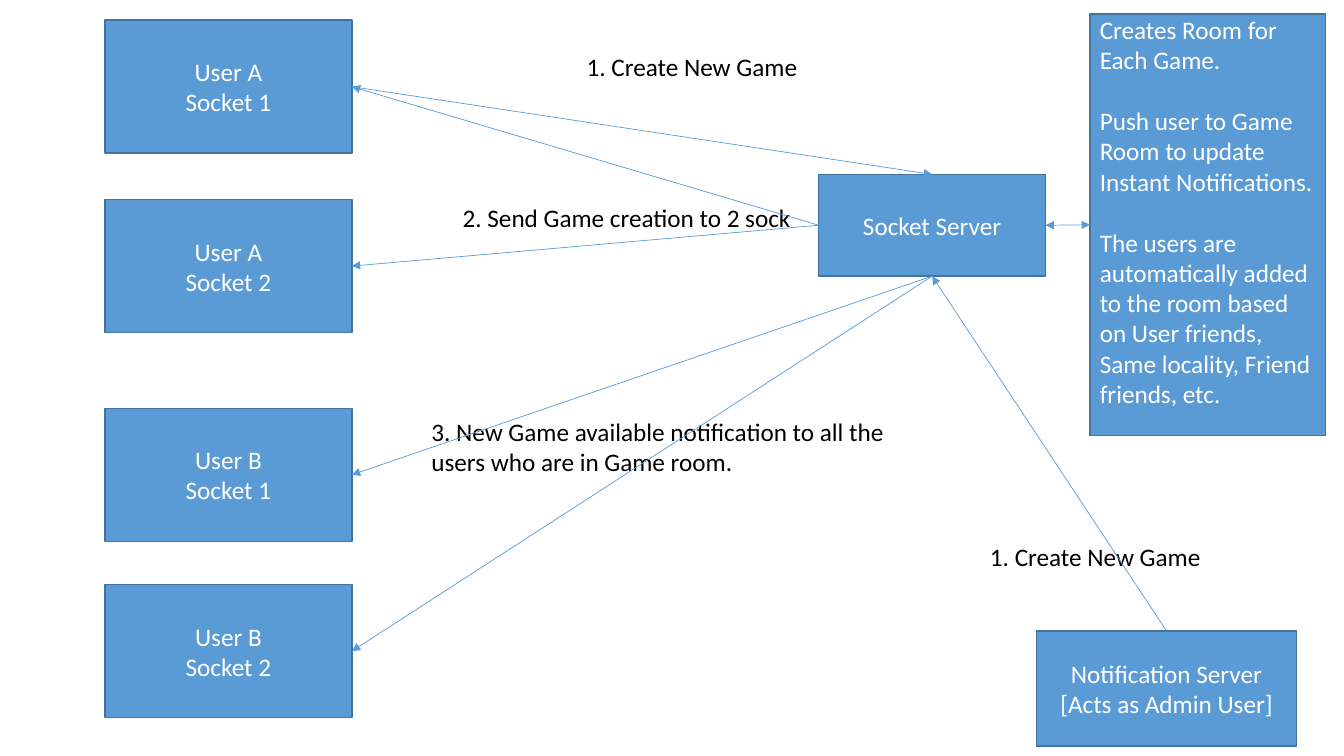
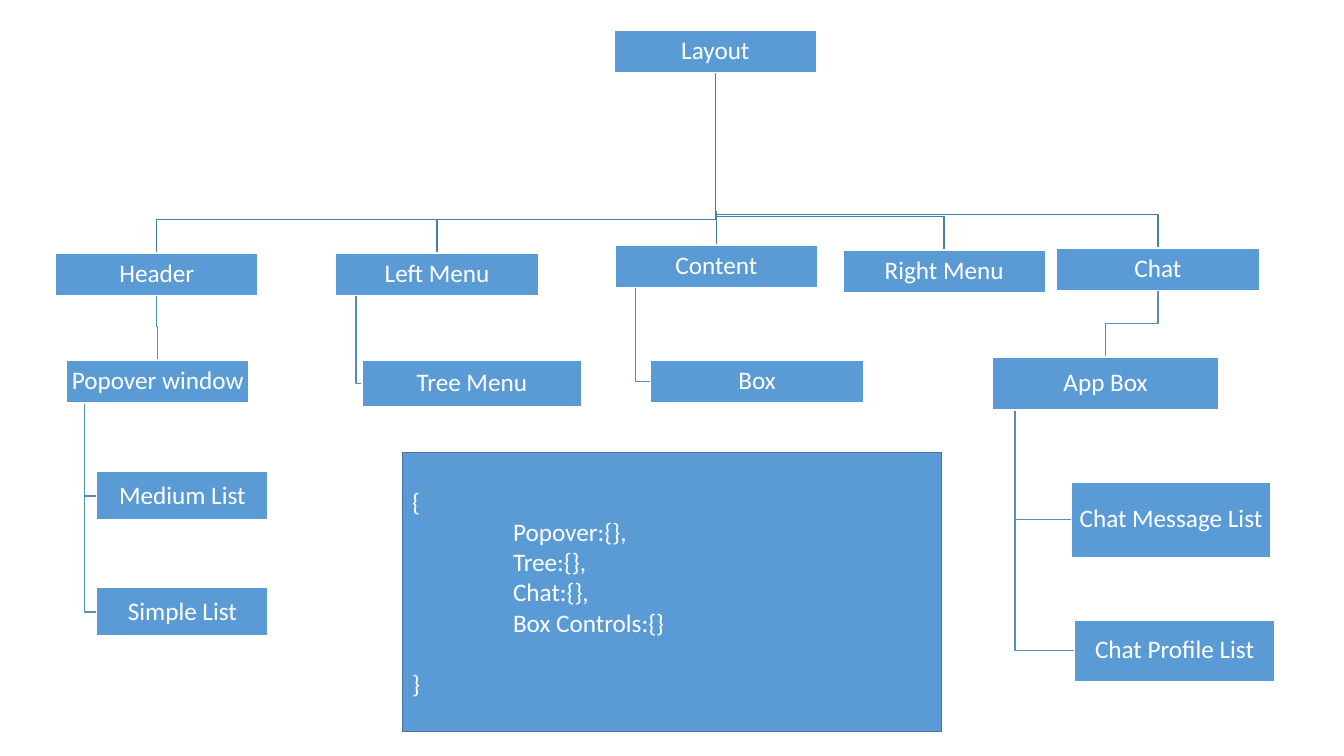
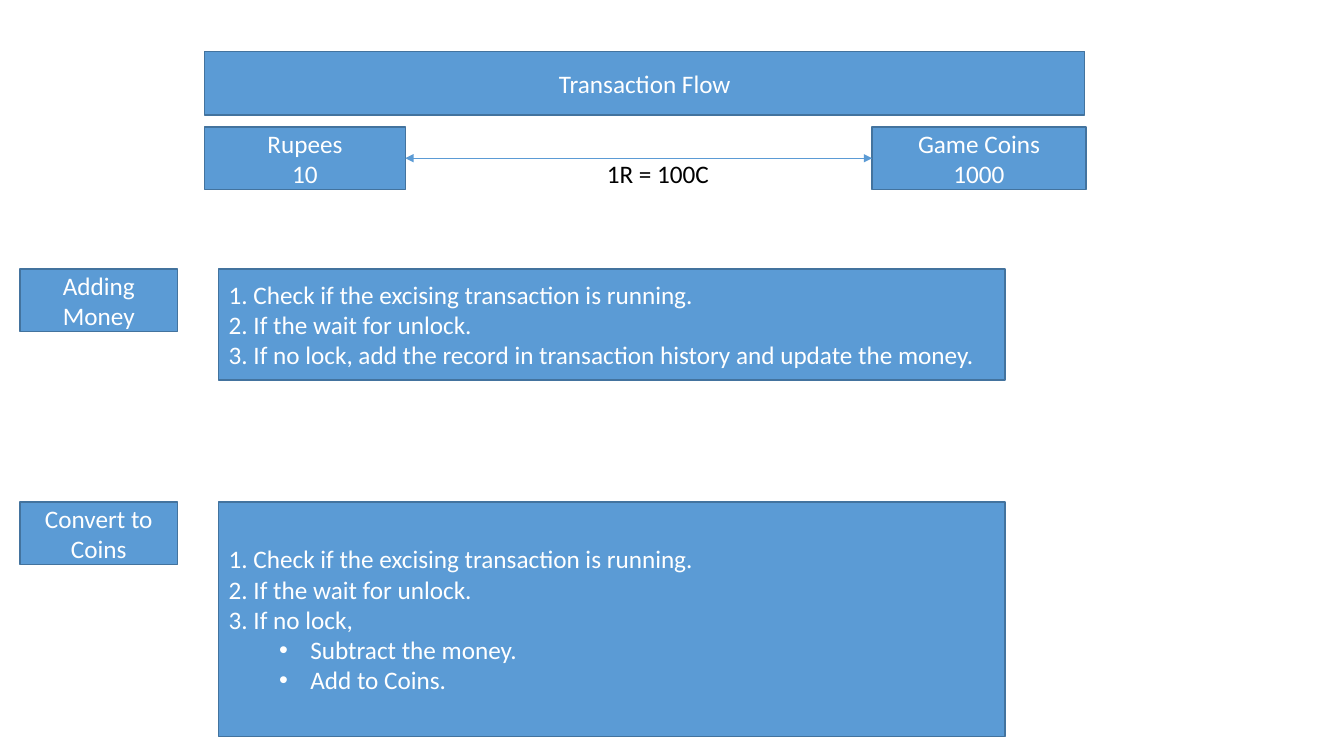
from lxml import etree
from pptx import Presentation
from pptx.dml.color import RGBColor
from pptx.enum.shapes import MSO_CONNECTOR, MSO_SHAPE
from pptx.enum.text import MSO_ANCHOR, MSO_AUTO_SIZE, PP_ALIGN
from pptx.oxml.ns import qn
from pptx.util import Inches, Pt

RECTANGLE = MSO_SHAPE.RECTANGLE
STRAIGHT = MSO_CONNECTOR.STRAIGHT
LEFT_ALIGN, CENTER = PP_ALIGN.LEFT, PP_ALIGN.CENTER
TOP_ANCHOR, MIDDLE = MSO_ANCHOR.TOP, MSO_ANCHOR.MIDDLE
FIT_TEXT = MSO_AUTO_SIZE.SHAPE_TO_FIT_TEXT

# Shared style
BLUE, EDGE, WHITE, BLACK = "5B9BD5", "43739E", "FFFFFF", "000000"
FIRST_LEVEL, LOWER_LEVEL = "497CAB", "538DC1"
FONT = {"name": "Calibri", "size": Pt(18)}
LINE_GAP = Pt(22)

# Connection sites of a rectangle
TOP, LEFT, BOTTOM, RIGHT = range(4)

# Paragraph formats
GAP = {"before": LINE_GAP}
TABBED = {"indent": 1}
BULLET = {"indent": 0.81, "hang": 0.31, "bullet": "•"}

# Tree of components: name -> (left, top, width, height, parent, branch style)
BAR = (2.01, 0.42)
TREE = {
    "Layout": (6.09, 0.3, *BAR, None, None),
    "Header": (0.55, 2.51, *BAR, "Layout", "drop"),
    "Popover window": (0.66, 3.57, 1.81, 0.43, "Header", "drop"),
    "Medium List": (0.96, 4.68, 1.7, 0.48, "Popover window", "side"),
    "Simple List": (0.96, 5.83, 1.7, 0.48, "Popover window", "side"),
    "Left Menu": (3.33, 2.51, *BAR, "Layout", "drop"),
    "Tree Menu": (3.59, 3.57, 2.18, 0.47, "Left Menu", "side"),
    "Content": (6.1, 2.43, *BAR, "Layout", "drop"),
    "Box": (6.45, 3.57, 2.12, 0.43, "Content", "side"),
    "Right Menu": (8.36, 2.48, *BAR, "Layout", "drop"),
    "Chat": (10.48, 2.46, *BAR, "Layout", "drop"),
    "App Box": (9.84, 3.54, 2.25, 0.53, "Chat", "drop"),
    "Chat Message List": (10.63, 4.78, 1.97, 0.75, "App Box", "side"),
    "Chat Profile List": (10.66, 6.15, 1.98, 0.61, "App Box", "side"),
}


def color(value):
    return RGBColor.from_string(value)


def set_all(target, values):
    for name, value in values.items():
        setattr(target, name, value)


def set_line(shape, value, points):
    shape.line.color.rgb = color(value)
    shape.line.width = Pt(points)


def format_para(para, indent=0, hang=0, bullet=None, before=None):
    if before:
        para.space_before = before
    if indent:
        properties = para._p.get_or_add_pPr()
        properties.set("marL", str(Inches(indent)))
        properties.set("indent", str(-Inches(hang)))
        if bullet:
            etree.SubElement(properties, qn("a:buFont"), typeface="Arial")
            etree.SubElement(properties, qn("a:buChar"), char=bullet)


def write(frame, lines, value, align, spacing=None):
    """Write one paragraph per line; a line is a text or (text, format)."""
    for index, line in enumerate(lines):
        words, layout = (line, {}) if isinstance(line, str) else line
        para = frame.paragraphs[0] if index == 0 else frame.add_paragraph()
        para.alignment = align
        if spacing:
            para.line_spacing = spacing
        format_para(para, **layout)
        span = para.add_run()
        span.text = words
        set_all(span.font, FONT)
        span.font.color.rgb = color(value)


def add_box(page, place, lines, align=CENTER, edge=EDGE, spacing=None, **frame_format):
    box = page.shapes.add_shape(RECTANGLE, *map(Inches, place))
    box.shadow.inherit = False
    box.fill.solid()
    box.fill.fore_color.rgb = color(BLUE)
    set_line(box, edge, 1)
    set_all(box.text_frame, {"word_wrap": True, "vertical_anchor": MIDDLE, **frame_format})
    write(box.text_frame, lines, WHITE, align, spacing)
    return box


def add_label(page, place, words, wrap=False):
    label = page.shapes.add_textbox(*map(Inches, place))
    set_all(label.text_frame, {"word_wrap": wrap, "auto_size": FIT_TEXT})
    write(label.text_frame, [words], BLACK, LEFT_ALIGN)


def add_arrow(page, start, start_site, end, end_site, both=False):
    arrow = page.shapes.add_connector(STRAIGHT, 0, 0, 0, 0)
    arrow.begin_connect(start, start_site)
    arrow.end_connect(end, end_site)
    set_line(arrow, BLUE, 0.5)
    outline = arrow.line._get_or_add_ln()
    for end_tag in ("a:headEnd", "a:tailEnd") if both else ("a:tailEnd",):
        etree.SubElement(outline, qn(end_tag), type="triangle")
    etree.SubElement(arrow._element.spPr, qn("a:effectLst"))


def add_branch(page, child):
    """Join a tree node to its parent, by a bent drop or along its side."""
    left, top, width, height, parent, style = child
    over_left, over_top, over_width, over_height = TREE[parent][:4]
    base = over_top + over_height
    if style == "drop":
        start, end, bend = over_left + over_width / 2, left + width / 2, top - 0.33
        points = [(start, base), (start, bend), (end, bend), (end, top)]
    else:
        start, middle = over_left + over_width / 10, top + height / 2
        points = [(start, base), (start, middle), (left, middle)]
    points = [(Inches(x), Inches(y)) for x, y in points]
    builder = page.shapes.build_freeform(*points[0])
    builder.add_line_segments(points[1:], close=False)
    branch = builder.convert_to_shape()
    branch.shadow.inherit = False
    branch.fill.background()
    set_line(branch, FIRST_LEVEL if parent == "Layout" else LOWER_LEVEL, 1)


def socket_page(page):
    # Clients and servers
    clients = [
        add_box(page, (1.04, top, 2.45, 1.32), [f"User {user}", f"Socket {number}"])
        for user, number, top in (("A", 1, 0.2), ("A", 2, 1.98), ("B", 1, 4.05), ("B", 2, 5.8))
    ]
    server = add_box(page, (8.12, 1.73, 2.25, 1.01), ["Socket Server"])
    notifier = add_box(page, (10.28, 6.26, 2.58, 1.14),
                       ["Notification Server", "[Acts as Admin User]"])
    # Step labels
    add_label(page, (5.72, 0.46, 2.32, 0.4), "1. Create New Game")
    add_label(page, (4.49, 1.96, 4.23, 0.4), "2. Send Game creation to 2 sock", wrap=True)
    add_label(page, (9.72, 5.32, 2.32, 0.4), "1. Create New Game")
    add_label(page, (4.18, 4.08, 5.07, 1.01),
              "3. New Game available notification to all the users who are in Game room.",
              wrap=True)
    # Room rules
    room = add_box(page, (10.81, 0.14, 2.34, 4.18), [
        "Creates Room for Each Game.",
        ("Push user to Game Room to update Instant Notifications.", GAP),
        ("The users are automatically added to the room based on User friends, "
         "Same locality, Friend friends, etc.", GAP),
    ], LEFT_ALIGN, vertical_anchor=TOP_ANCHOR, margin_top=0)
    # Messages
    add_arrow(page, notifier, TOP, server, BOTTOM)
    add_arrow(page, clients[0], RIGHT, server, TOP)
    for client, site in zip(clients, (LEFT, LEFT, BOTTOM, BOTTOM)):
        add_arrow(page, server, site, client, RIGHT)
    add_arrow(page, server, RIGHT, room, LEFT, both=True)


def layout_page(page):
    # Branches lie behind the nodes
    for node in TREE.values():
        if node[4]:
            add_branch(page, node)
    margin = Inches(0.01)
    for name, node in TREE.items():
        add_box(page, node[:4], [name], edge=WHITE, spacing=0.9, margin_left=margin,
                margin_right=margin, margin_top=margin, margin_bottom=margin)
    # State object
    keys = ("Popover:{},", "Tree:{},", "Chat:{},", "Box Controls:{}")
    add_box(page, (3.99, 4.49, 5.35, 2.77),
            ["{", *((key, TABBED) for key in keys), ("}", GAP)], LEFT_ALIGN)


def transaction_page(page):
    # Exchange rate
    add_box(page, (2.03, 0.51, 8.73, 0.63), ["Transaction Flow"])
    rupees = add_box(page, (2.03, 1.26, 1.99, 0.62), ["Rupees", "10"])
    coins = add_box(page, (8.65, 1.26, 2.12, 0.62), ["Game Coins", "1000"])
    add_arrow(page, rupees, RIGHT, coins, LEFT, both=True)
    add_label(page, (5.92, 1.52, 1.23, 0.4), "1R = 100C")
    # Procedures
    checks = ["1. Check if the excising transaction is running.", "2. If the wait for unlock."]
    adding = ["3. If no lock, add the record in transaction history and update the money."]
    converting = ["3. If no lock,", ("Subtract the money.", BULLET), ("Add to Coins.", BULLET)]
    for title, top, height, steps in (("Adding Money", 2.67, 1.1, adding),
                                      ("Convert to Coins", 4.98, 2.33, converting)):
        add_box(page, (0.2, top, 1.56, 0.62), [title])
        add_box(page, (2.17, top, 7.8, height), checks + steps, LEFT_ALIGN)


def main():
    deck = Presentation()
    deck.slide_width, deck.slide_height = Inches(13.33), Inches(7.5)
    for build in (socket_page, layout_page, transaction_page):
        build(deck.slides.add_slide(deck.slide_layouts[6]))
    deck.save("out.pptx")


main()
